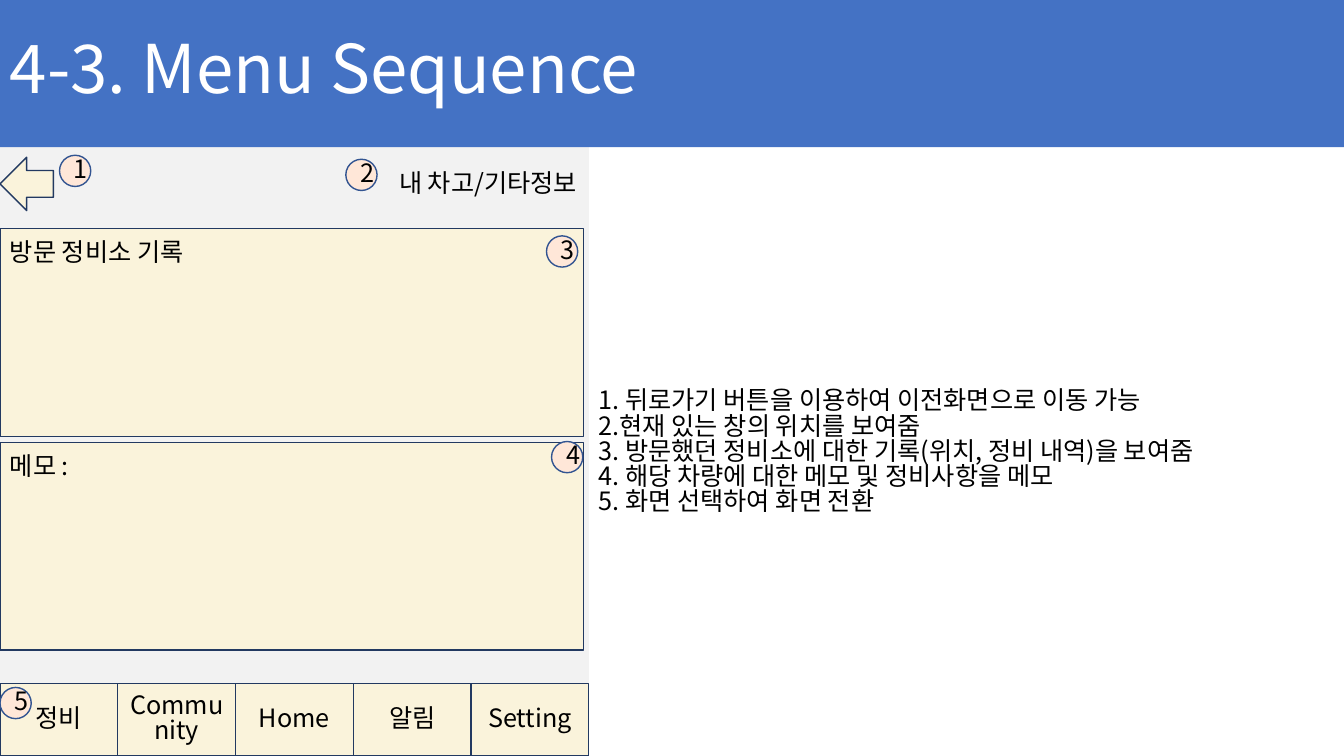
"""Builds the Menu Sequence slide: an app screen mock-up with numbered notes."""
from lxml.etree import SubElement
from pptx import Presentation
from pptx.dml.color import RGBColor
from pptx.enum.shapes import MSO_SHAPE
from pptx.enum.text import MSO_ANCHOR, PP_ALIGN
from pptx.oxml.ns import qn
from pptx.util import Inches, Pt

FONT = "Noto Sans CJK KR"
BLACK = RGBColor(0x00, 0x00, 0x00)
WHITE = RGBColor(0xFF, 0xFF, 0xFF)
BLUE = RGBColor(0x44, 0x72, 0xC4)
GREY = RGBColor(0xF2, 0xF2, 0xF2)
CREAM = RGBColor(0xFA, 0xF3, 0xDB)
PEACH = RGBColor(0xFF, 0xE7, 0xD8)
NAVY = RGBColor(0x22, 0x39, 0x61)
RING = RGBColor(0x32, 0x54, 0x91)

W, H = 13.33, 7.5
HEADER_H = 1.46
SCREEN_W = 5.84
TAB_H = 0.72
PANEL_W, PANEL_H = 5.79, 2.06
BADGE = 0.31


def add_text(s, text, size=18, color=BLACK, align=PP_ALIGN.LEFT,
             anchor=MSO_ANCHOR.MIDDLE, top=0.05):
    tf = s.text_frame
    tf.word_wrap = True
    tf.vertical_anchor = anchor
    tf.margin_top = Inches(top)
    for i, line in enumerate(text.split("\n")):
        p = tf.paragraphs[0] if i == 0 else tf.add_paragraph()
        p.alignment = align
        p.line_spacing = 0.83
        r = p.add_run()
        r.text = line
        r.font.size = Pt(size)
        r.font.name = FONT
        r.font.color.rgb = color
        SubElement(r.font._element, qn("a:ea"), typeface=FONT)


def add_box(x, y, w, h, fill, line=None, kind=MSO_SHAPE.RECTANGLE):
    s = sp.add_shape(kind, Inches(x), Inches(y), Inches(w), Inches(h))
    s.shadow.inherit = False
    s.fill.solid()
    s.fill.fore_color.rgb = fill
    if line is None:
        s.line.fill.background()
    else:
        s.line.color.rgb = line
        s.line.width = Pt(1)
    return s


prs = Presentation()
prs.slide_width, prs.slide_height = Inches(W), Inches(H)
sp = prs.slides.add_slide(prs.slide_layouts[6]).shapes

add_box(0, HEADER_H, SCREEN_W, H - HEADER_H, GREY)

tabs = ["정비", "Community", "Home", "알림", "Setting"]
tab_w = SCREEN_W / len(tabs)
for i, name in enumerate(tabs):
    tab = add_box(i * tab_w, H - TAB_H, tab_w, TAB_H, CREAM, NAVY)
    add_text(tab, name, align=PP_ALIGN.CENTER)

for y, label in [(2.27, "방문 정비소 기록"), (4.39, "메모 :")]:
    panel = add_box(0, y, PANEL_W, PANEL_H, CREAM, NAVY)
    add_text(panel, label, anchor=MSO_ANCHOR.TOP, top=0.13)

header = add_box(0, 0, W, HEADER_H, BLUE)
add_text(header, "4-3. Menu Sequence", size=48, color=WHITE)

notes = sp.add_textbox(Inches(SCREEN_W), Inches(1.48),
                       Inches(W - SCREEN_W), Inches(H - 1.48))
add_text(notes, """1. 뒤로가기 버튼을 이용하여 이전화면으로 이동 가능
2.현재 있는 창의 위치를 보여줌
3. 방문했던 정비소에 대한 기록(위치, 정비 내역)을 보여줌
4. 해당 차량에 대한 메모 및 정비사항을 메모
5. 화면 선택하여 화면 전환""")

add_box(0, 1.56, 0.53, 0.53, CREAM, NAVY, MSO_SHAPE.LEFT_ARROW)

location = sp.add_textbox(Inches(1.38), Inches(1.47), Inches(4.44), Inches(TAB_H))
add_text(location, "내 차고/기타정보", align=PP_ALIGN.RIGHT)

badges = [(0.59, 1.54), (3.43, 1.58), (5.42, 2.34), (5.47, 4.38), (0, 6.82)]
for number, (x, y) in enumerate(badges, 1):
    badge = add_box(x, y, BADGE, BADGE, PEACH, RING, MSO_SHAPE.OVAL)
    add_text(badge, str(number), align=PP_ALIGN.CENTER)

prs.save("out.pptx")
